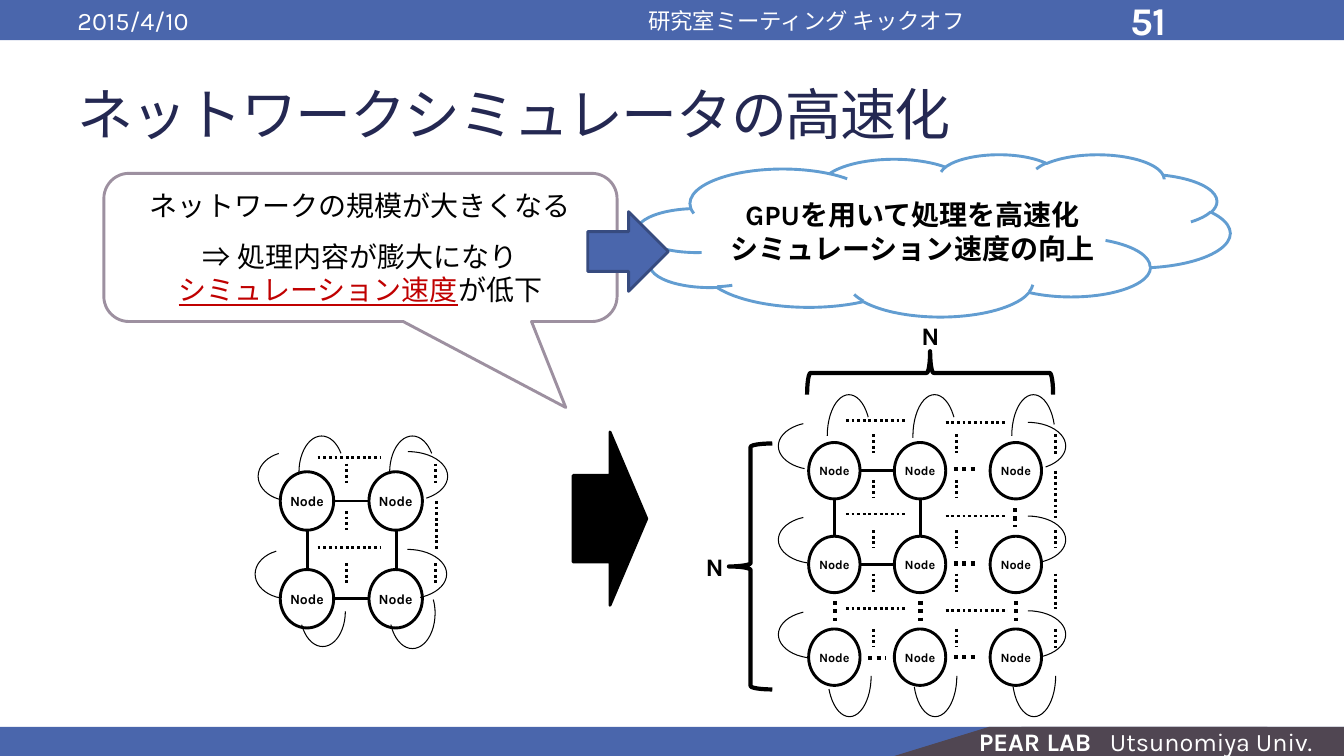
"""Build the slide on speeding up a network simulator."""
import dataclasses
import itertools
import lxml.etree
import pptx
import pptx.dml.color
import pptx.enum.dml
import pptx.enum.shapes
import pptx.enum.text
import pptx.oxml.ns
import pptx.util

Inches = pptx.util.Inches
Pt = pptx.util.Pt
KIND = pptx.enum.shapes.MSO_SHAPE
ALIGN = pptx.enum.text.PP_ALIGN
DOT = pptx.enum.dml.MSO_LINE.ROUND_DOT


@dataclasses.dataclass(frozen=True)
class Theme:
    font: str = "Karla"
    blue: str = "4A66AC"
    edge: str = "374B7F"
    brown: str = "504652"
    navy: str = "242852"
    mauve: str = "9D90A0"
    sky: str = "629DD1"
    red: str = "C00000"
    black: str = "000000"
    white: str = "FFFFFF"
    title: int = 40
    page: int = 28
    body: int = 20
    label: int = 18
    event: int = 16
    node: int = 10
    small: int = 9
    thin: float = 0.75
    dash: int = 2
    line: float = 2.08
    thick: int = 3


THEME = Theme()


def rgb(code):
    return pptx.dml.color.RGBColor.from_string(code)


def shape(parts, kind, box, fill=None, line=None, width=THEME.line, turn=0, adj=()):
    item = parts.add_shape(kind, *map(Inches, box))
    item.shadow.inherit = False
    item.rotation = turn
    for index, value in enumerate(adj):
        item.adjustments[index] = value
    if fill:
        item.fill.solid()
        item.fill.fore_color.rgb = rgb(fill)
    else:
        item.fill.background()
    if line:
        item.line.color.rgb = rgb(line)
        item.line.width = Pt(width)
    else:
        item.line.fill.background()
    return item


def write(item, paras, size, color=THEME.black, bold=False, align=ALIGN.LEFT):
    """Fill an item with paragraphs, each a list of run texts."""
    frame = item.text_frame
    frame.word_wrap = True
    frame.vertical_anchor = pptx.enum.text.MSO_ANCHOR.MIDDLE
    for index, texts in enumerate(paras):
        para = frame.add_paragraph() if index else frame.paragraphs[0]
        para.alignment = align
        para.text = texts[0]
        for text in texts[1:]:
            para.add_run().text = text
        for run in para.runs:
            run.font.name = THEME.font
            run.font.size = Pt(size)
            run.font.bold = bold
            run.font.color.rgb = rgb(color)
    return frame.paragraphs


def label(parts, box, text, size, color, **style):
    return write(parts.add_textbox(*map(Inches, box)), [[text]], size, color, **style)[0]


def link(parts, x, y, dx, dy, width=THEME.dash, dots=True):
    straight = pptx.enum.shapes.MSO_CONNECTOR.STRAIGHT
    item = parts.add_connector(straight, *map(Inches, (x, y, x + dx, y + dy)))
    item.line.color.rgb = rgb(THEME.black)
    item.line.width = Pt(width)
    if dots:
        item.line.dash_style = DOT
    props = item._element.spPr
    lxml.etree.SubElement(props, pptx.oxml.ns.qn("a:effectLst"))


def arc(parts, box, turn, start, end):
    shape(parts, KIND.ARC, box, line=THEME.black, width=THEME.thin,
          turn=turn, adj=(start, end))


def nodes(parts, cols, rows, wide, high, size):
    for y, x in itertools.product(rows, cols):
        item = shape(parts, KIND.FLOWCHART_CONNECTOR, (x, y, wide, high), line=THEME.black)
        frame = item.text_frame
        frame.margin_left = frame.margin_right = 0
        frame.margin_top = frame.margin_bottom = 0
        write(item, [["Node"]], size, bold=True, align=ALIGN.CENTER)
        frame.word_wrap = False


def bars(parts):
    shape(parts, KIND.RECTANGLE, (0, 0, 13.33, 0.4), THEME.blue)
    shape(parts, KIND.RECTANGLE, (0, 7.21, 13.33, 0.29), THEME.blue)
    shape(parts, KIND.PARALLELOGRAM, (8.87, 7.21, 3.7, 0.29), THEME.brown, adj=(3.25,))
    shape(parts, KIND.RECTANGLE, (10.13, 7.21, 3.2, 0.29), THEME.brown)
    label(parts, (0.67, 0.02, 4.22, 0.36), "2015/4/10", THEME.label, THEME.white)
    label(parts, (5, 0.02, 6, 0.36), "研究室ミーティング キックオフ", THEME.event,
          THEME.white, align=ALIGN.CENTER)
    label(parts, (11.11, 0.02, 1.56, 0.36), "51", THEME.page, THEME.white, bold=True)
    lab = parts.add_textbox(*map(Inches, (9.61, 7.27, 3.72, 0.18)))
    para = write(lab, [["PEAR LAB", "\tUtsunomiya Univ."]], THEME.label, THEME.white)[0]
    para.runs[0].font.bold = True
    tabs = lxml.etree.SubElement(para._p.get_or_add_pPr(), pptx.oxml.ns.qn("a:tabLst"))
    lxml.etree.SubElement(tabs, pptx.oxml.ns.qn("a:tab"), pos=str(Inches(1.3)), algn="l")


def small(parts):
    """Draw the two by two torus."""
    cols, rows = (2.78, 3.66), (4.68, 5.65)
    nodes(parts, cols, rows, 0.53, 0.58, THEME.node)
    for y in rows:
        link(parts, 3.31, y + 0.29, 0.35, 0, dots=False)
    for x in cols:
        link(parts, x + 0.27, 5.26, 0, 0.39, dots=False)
    for y in (4.54, 5.43):
        link(parts, 3.15, y, 0.63, 0)
    for x, y in itertools.product((3.44, 4.32), (4.6, 5.59)):
        link(parts, x, y, 0, 0.2)
    link(parts, 3.44, 5.07, 0, 0.19)
    link(parts, 4.33, 4.97, 0, 0.49)
    for box, turn, start, end in (
        ((3.65, 4.48, 0.79, 0.49), 0, 162, 29.86),
        ((3.65, 5.45, 0.78, 0.49), 0, 162, 36.65),
        ((2.56, 4.48, 0.66, 0.49), 180, 177.7, 36.65),
        ((2.53, 5.45, 0.67, 0.49), 180, 173.49, 36.65),
        ((2.83, 4.46, 0.72, 0.45), 270, 162, 27.42),
        ((3.73, 4.46, 0.72, 0.45), 270, 159.02, 27.42),
        ((2.85, 5.84, 0.7, 0.45), 90, 162, 34.34),
        ((3.74, 5.86, 0.7, 0.45), 90, 142.06, 37.33),
    ):
        arc(parts, box, turn, start, end)


def large(parts):
    """Draw the N by N torus with its braces."""
    cols, rows = (8.02, 8.87, 9.82), (4.39, 5.32, 6.24)
    nodes(parts, cols, rows, 0.51, 0.56, THEME.small)
    for y in rows[:2]:
        link(parts, 8.53, y + 0.28, 0.34, 0, dots=False)
    for x in cols[:2]:
        link(parts, x + 0.26, 4.94, 0, 0.38, dots=False)
    for y in (4.65, 5.59, 6.52):
        link(parts, 9.46, y, 0.24, 0, THEME.thick)
    link(parts, 8.61, 6.53, 0.17, 0, THEME.thick)
    for x in cols:
        link(parts, x + 0.26, 5.96, 0, 0.2, THEME.thick)
    link(parts, 10.07, 5.04, 0, 0.19, THEME.thick)
    for y, left, right in ((4.19, 177.7, 29.86), (5.12, 173.49, 36.65), (6.06, 172.9, 36.65)):
        link(parts, 8.39, y - 0.02, 0.6, 0)
        link(parts, 9.38, y, 0.6, 0)
        arc(parts, (7.72, y, 0.74, 0.47), 180, left, 36.65)
        arc(parts, (9.82, y, 0.75, 0.47), 0, 162, right)
    for x, start, top, low in ((8.02, 162, 27.42, 34.34), (8.87, 159.02, 27.42, 37.33),
                               (9.85, 162, 36.65, 38)):
        arc(parts, (x - 0.01, 4.11, 0.82, 0.43), 270, start, top)
        arc(parts, (x, 6.49, 0.81, 0.43), 90, 162, low)
    for x, y in itertools.product((8.66, 9.49), (4.31, 4.76, 5.26, 5.69, 6.24)):
        link(parts, x, y, 0, 0.18)
    for y, dy in ((4.31, 0.19), (4.67, 0.47), (5.26, 0.18), (5.69, 0.35), (6.24, 0.19)):
        link(parts, 10.47, y, 0, dy)
    for x, y, turn in ((9.01, 2.48, 90), (7.23, 4.4, 0)):
        shape(parts, KIND.LEFT_BRACE, (x, y, 0.43, 2.44), line=THEME.black,
              width=THEME.thick, turn=turn, adj=(0.08, 0.5))
    for x, y in ((9.04, 3.11), (6.9, 5.4)):
        label(parts, (x, y, 0.62, 0.44), "N", THEME.label, THEME.black, bold=True)


def claims(parts):
    shape(parts, KIND.DOWN_ARROW, (5.19, 4.78, 1.72, 0.73), THEME.black, THEME.black, turn=270)
    issue = shape(parts, KIND.ROUNDED_RECTANGULAR_CALLOUT, (1.03, 1.72, 5.09, 1.47),
                  THEME.white, THEME.mauve, adj=(0.4, 1.08, 0.17))
    paras = write(issue, [["ネットワークの規模が大きくなる"], ["⇒ 処理内容が膨大になり"],
                          ["シミュレーション速度", "が低下"]], THEME.body, align=ALIGN.CENTER)
    paras[1].space_before = Pt(12)
    key = paras[2].runs[0].font
    key.color.rgb = rgb(THEME.red)
    key.underline = True
    cloud = shape(parts, KIND.CLOUD, (6.32, 1.53, 5.88, 1.61), THEME.white, THEME.sky)
    write(cloud, [["GPUを用いて処理を高速化"], ["シミュレーション速度の向上"]],
          THEME.body, bold=True, align=ALIGN.CENTER)
    shape(parts, KIND.RIGHT_ARROW, (5.83, 2.1, 0.8, 0.79), THEME.blue, THEME.edge)


def main():
    deck = pptx.Presentation()
    deck.slide_width, deck.slide_height = Inches(13.33), Inches(7.5)
    parts = deck.slides.add_slide(deck.slide_layouts[6]).shapes
    bars(parts)
    title = label(parts, (0.67, 0.58, 12, 1.08), "ネットワークシミュレータの高速化",
                  THEME.title, THEME.navy)
    title.runs[0]._r.get_or_add_rPr().set("spc", "-100")
    small(parts.add_group_shape().shapes)
    large(parts.add_group_shape().shapes)
    claims(parts)
    deck.save("out.pptx")


if __name__ == "__main__":
    main()
